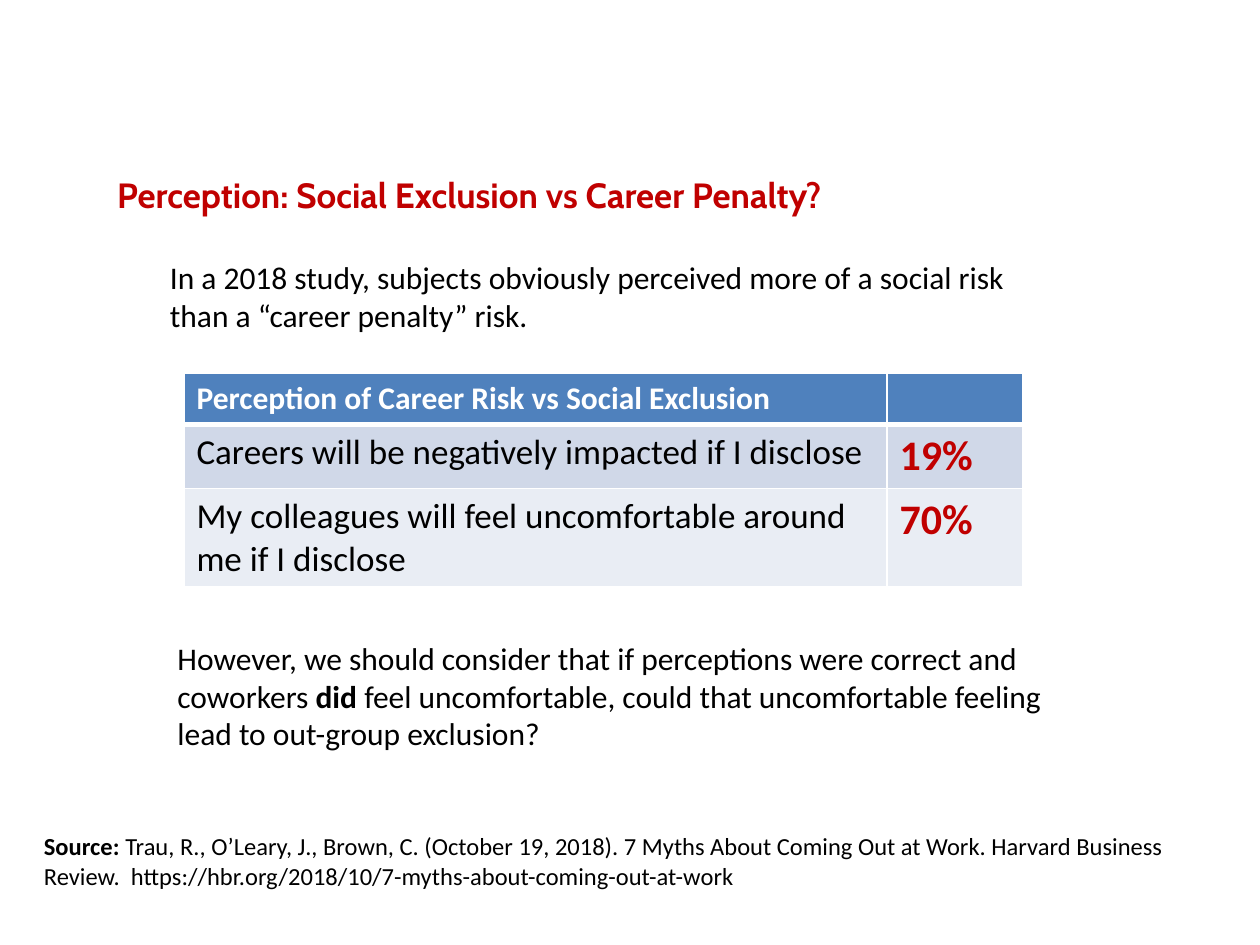
from typing import NamedTuple

from lxml.etree import SubElement
from pptx import Presentation
from pptx.dml.color import RGBColor
from pptx.enum.text import MSO_ANCHOR, MSO_AUTO_SIZE, PP_ALIGN
from pptx.oxml.ns import qn
from pptx.util import Inches, Pt

BLACK = RGBColor(0x00, 0x00, 0x00)
WHITE = RGBColor(0xFF, 0xFF, 0xFF)
RED = RGBColor(0xC0, 0x00, 0x00)
HEADER_BLUE = RGBColor(0x4F, 0x81, 0xBD)
BAND_DARK = RGBColor(0xD0, 0xD8, 0xE8)
BAND_LIGHT = RGBColor(0xE9, 0xED, 0xF4)


class Run(NamedTuple):
    text: str
    size: int
    bold: bool = False
    color: RGBColor = BLACK
    font: str = "Calibri"


class TextBox(NamedTuple):
    left: float
    top: float
    width: float
    height: float
    runs: list[Run]


class Row(NamedTuple):
    height: float
    fill: RGBColor
    cells: list[Run]


TITLE = TextBox(0.83, 1.33, 7.92, 0.44, [
    Run("Perception: Social Exclusion vs Career Penalty?", 20, True, RED, "Cabin")])

BOXES = [
    TextBox(1.25, 2, 7.25, 1.01, [
        Run("In a 2018 study, subjects obviously perceived more of a social risk "
            "than a “career penalty” risk.", 18)]),
    TextBox(1.31, 5.02, 7.08, 1.01, [
        Run("However, we should consider that if perceptions were correct and coworkers ", 18),
        Run("did", 18, True),
        Run(" feel uncomfortable, could that uncomfortable feeling lead to "
            "out-group exclusion?", 18)]),
    TextBox(0.25, 6.55, 9.58, 0.57, [
        Run("Source: ", 14, True),
        Run("Trau, R., O’Leary, J., Brown, C. (October 19, 2018). 7 Myths About Coming Out "
            "at Work. Harvard Business Review.  "
            "https://hbr.org/2018/10/7-myths-about-coming-out-at-work", 14)]),
]

COLUMNS = [5.58, 1.08]
ROWS = [
    Row(0.41, HEADER_BLUE, [
        Run("Perception of Career Risk vs Social Exclusion", 18, True, WHITE),
        Run("", 18)]),
    Row(0.5, BAND_DARK, [
        Run("Careers will be negatively impacted if I disclose", 20),
        Run("19%", 24, True, RED)]),
    Row(0.76, BAND_LIGHT, [
        Run("My colleagues will feel uncomfortable around me if I disclose", 20),
        Run("70%", 24, True, RED)]),
]


def add_runs(p, runs: list[Run]) -> None:
    for run in runs:
        r = p.add_run()
        r.text = run.text
        r.font.name = run.font
        r.font.size = Pt(run.size)
        r.font.bold = run.bold
        r.font.color.rgb = run.color


def add_text_box(slide, box: TextBox) -> None:
    sp = slide.shapes.add_textbox(*map(Inches, box[:4]))
    sp.text_frame.word_wrap = True
    add_runs(sp.text_frame.paragraphs[0], box.runs)


def set_title(slide, box: TextBox) -> None:
    sp = slide.shapes.title
    sp.left, sp.top, sp.width, sp.height = map(Inches, box[:4])
    tf = sp.text_frame
    tf.word_wrap = True
    tf.auto_size = MSO_AUTO_SIZE.NONE
    tf.vertical_anchor = MSO_ANCHOR.TOP
    p = tf.paragraphs[0]
    p.alignment = PP_ALIGN.LEFT
    add_runs(p, box.runs)


def set_borders(cell, top: int, bottom: int) -> None:
    """White borders, widths in points; call before the fill is set."""
    tc_pr = cell._tc.get_or_add_tcPr()
    for side, width in (("L", 1), ("R", 1), ("T", top), ("B", bottom)):
        ln = SubElement(tc_pr, qn(f"a:ln{side}"), w=str(Pt(width)))
        SubElement(SubElement(ln, qn("a:solidFill")), qn("a:srgbClr"), val=str(WHITE))


def add_risk_table(slide, left: float, top: float) -> None:
    height = sum(row.height for row in ROWS)
    table = slide.shapes.add_table(
        len(ROWS), len(COLUMNS), Inches(left), Inches(top),
        Inches(sum(COLUMNS)), Inches(height)).table
    for column, width in zip(table.columns, COLUMNS):
        column.width = Inches(width)
    for i, row in enumerate(ROWS):
        table.rows[i].height = Inches(row.height)
        for j, run in enumerate(row.cells):
            cell = table.cell(i, j)
            set_borders(cell, top=3 if i == 1 else 1, bottom=3 if i == 0 else 1)
            cell.fill.solid()
            cell.fill.fore_color.rgb = row.fill
            if run.text:
                add_runs(cell.text_frame.paragraphs[0], [run])


def main() -> None:
    prs = Presentation()
    prs.slide_width, prs.slide_height = Inches(10), Inches(7.5)
    slide = prs.slides.add_slide(prs.slide_layouts[5])  # title only

    # Title, table and the texts around it
    set_title(slide, TITLE)
    add_risk_table(slide, 1.46, 2.96)
    for box in BOXES:
        add_text_box(slide, box)

    prs.save("out.pptx")


if __name__ == "__main__":
    main()
